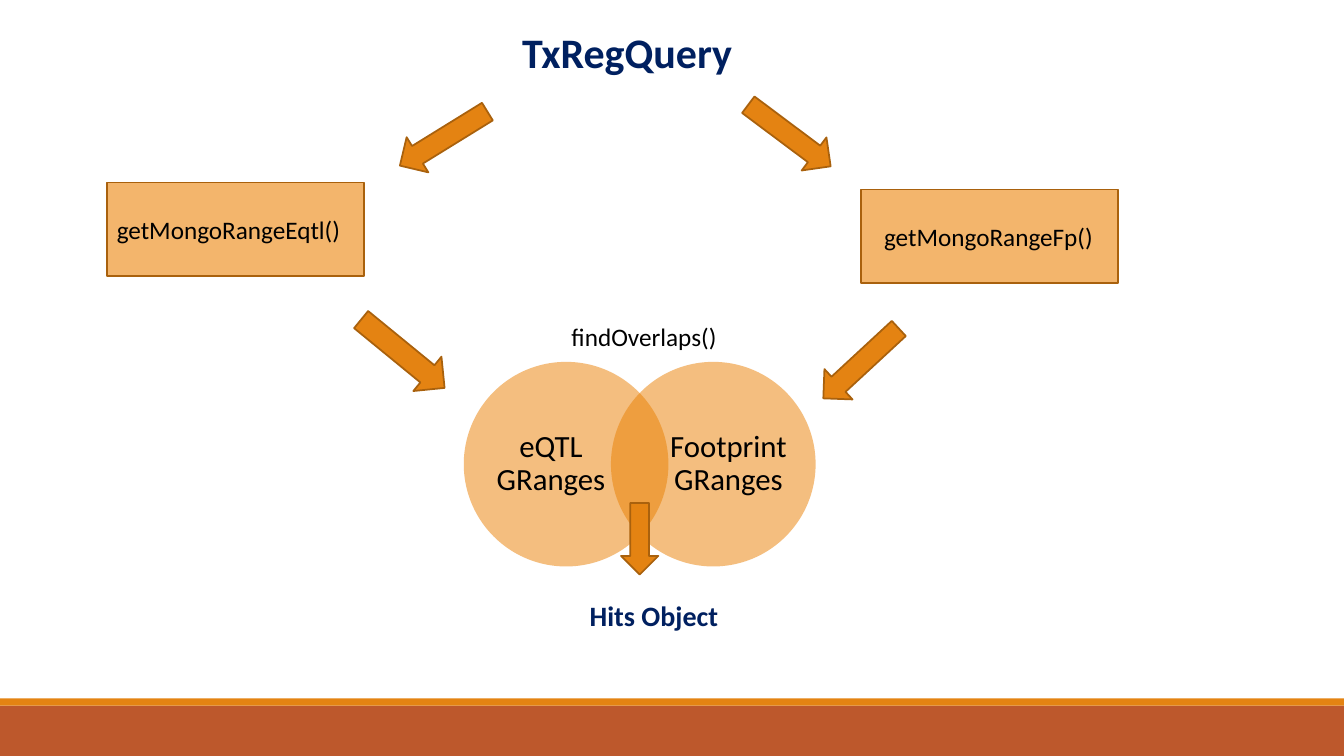
from lxml import etree
from pptx import Presentation
from pptx.dml.color import RGBColor
from pptx.enum.shapes import MSO_SHAPE
from pptx.enum.text import MSO_ANCHOR, PP_ALIGN
from pptx.oxml.ns import qn
from pptx.util import Inches, Pt

RECT = MSO_SHAPE.RECTANGLE
OVAL = MSO_SHAPE.OVAL
RIGHT = MSO_SHAPE.RIGHT_ARROW
DOWN = MSO_SHAPE.DOWN_ARROW
LEFT, CENTER = PP_ALIGN.LEFT, PP_ALIGN.CENTER
TOP, MIDDLE = MSO_ANCHOR.TOP, MSO_ANCHOR.MIDDLE


def color(code):
    return RGBColor.from_string(code)


class Deck:
    font = "Calibri"
    black = "000000"
    navy = "002060"
    orange = "E48312"
    rust = "BD582C"
    sand = "F3B56C"
    edge = "A9610D"
    glow = "EA7F00"

    def __init__(self, slide):
        self.slide = slide

    def shape(self, kind, box, fill, line=None, turn=0):
        item = self.slide.shapes.add_shape(kind, *map(Inches, box))
        item.shadow.inherit = False
        item.rotation = turn
        item.fill.solid()
        item.fill.fore_color.rgb = color(fill)
        if line:
            item.line.color.rgb = color(line)
            item.line.width = Pt(1.25)
        else:
            item.line.fill.background()
        return item

    def arrow(self, box, turn=0, kind=RIGHT):
        self.shape(kind, box, self.orange, self.edge, turn)

    def text(self, words, box, size=18, tint=black, bold=False,
             align=LEFT, anchor=TOP, inset=None, space=None):
        item = self.slide.shapes.add_textbox(*map(Inches, box))
        frame = item.text_frame
        frame.word_wrap = True
        frame.vertical_anchor = anchor
        if inset is not None:
            frame.margin_left = frame.margin_right = Inches(inset)
            frame.margin_top = frame.margin_bottom = Inches(inset)
        para = frame.paragraphs[0]
        para.alignment = align
        para.line_spacing = space
        run = para.add_run()
        run.text = words
        run.font.name = self.font
        run.font.size = Pt(size)
        run.font.bold = bold
        run.font.color.rgb = color(tint)

    def step(self, name, left, top, shift=0):
        """Draw a function box, its label moved right by shift."""
        self.shape(RECT, (left, top, 2.55, 0.93), self.sand, self.edge)
        self.text(name, (left + shift, top + 0.27, 2.55, 0.4))

    def circle(self, words, left, inset):
        """Draw a half-clear Venn circle with its label."""
        disc = self.shape(OVAL, (left, 3.59, 2.03, 2.03), self.glow)
        fill = disc.element.spPr.find(qn("a:solidFill"))
        etree.SubElement(fill[0], qn("a:alpha"), val="50000")
        self.text(words, (left + inset, 3.83, 1.17, 1.55), size=22,
                  align=CENTER, anchor=MIDDLE, inset=0, space=0.9)


def main():
    prs = Presentation()
    prs.slide_width = Inches(13.33)
    prs.slide_height = Inches(7.5)
    deck = Deck(prs.slides.add_slide(prs.slide_layouts[6]))

    deck.shape(RECT, (0, 7, 13.33, 0.5), deck.rust)
    deck.shape(RECT, (0, 6.93, 13.33, 0.07), deck.orange)

    deck.circle("eQTL GRanges", 4.6, 0.28)
    deck.circle("Footprint GRanges", 6.06, 0.58)
    deck.step("getMongoRangeEqtl()", 1.06, 1.81)
    deck.step("getMongoRangeFp()", 8.54, 1.88, shift=0.13)

    deck.text("TxRegQuery", (3.73, 0.21, 4.98, 0.61), size=30,
              tint=deck.navy, bold=True, align=CENTER)

    for box, turn in (
        ((3.89, 1.17, 1.02, 0.41), 148.3),
        ((7.32, 1.14, 1.02, 0.41), 36.8),
        ((3.46, 3.29, 1.07, 0.44), 39.3),
        ((8.03, 3.4, 1.02, 0.41), 137.2),
    ):
        deck.arrow(box, turn)
    deck.arrow((6.16, 4.99, 0.37, 0.71), kind=DOWN)

    deck.text("Hits Object", (5.75, 5.89, 2.36, 0.44), size=20,
              tint=deck.navy, bold=True)
    deck.text("findOverlaps()", (5.57, 3.14, 2.33, 0.41))

    prs.save("out.pptx")


if __name__ == "__main__":
    main()
